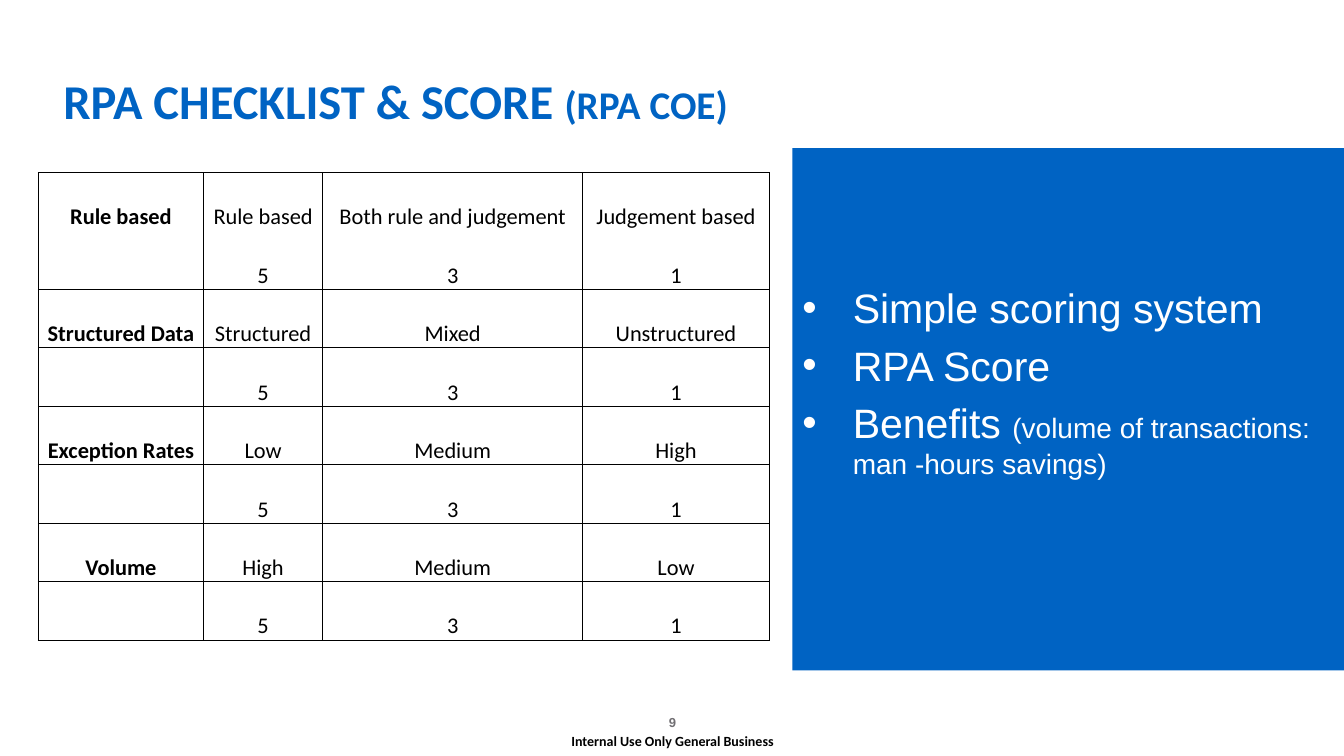
from lxml.etree import SubElement
from pptx import Presentation
from pptx.dml.color import RGBColor
from pptx.enum.shapes import MSO_SHAPE
from pptx.enum.text import MSO_ANCHOR, PP_ALIGN
from pptx.oxml.ns import qn
from pptx.util import Inches, Pt

COLORS = {"blue": "0063C3", "white": "FFFFFF", "black": "000000", "gray": "716F73"}
COLUMN_WIDTHS = [1.64, 1.18, 2.58, 1.85]
CRITERIA = [
    ["Rule based", "Rule based", "Both rule and judgement", "Judgement based"],
    ["Structured Data", "Structured", "Mixed", "Unstructured"],
    ["Exception Rates", "Low", "Medium", "High"],
    ["Volume", "High", "Medium", "Low"],
]
SCORES = ["", "5", "3", "1"]
BENEFITS = [
    [("Simple scoring system", 29.3)],
    [("RPA Score", 29.3)],
    [("Benefits ", 29.3), ("(volume of transactions: man -hours savings)", 20)],
]


def add_run(paragraph, text, size, color="black", font="Calibri", bold=False):
    run = paragraph.add_run()
    run.text = text
    run.font.size = Pt(size)
    run.font.name = font
    run.font.bold = bold
    run.font.color.rgb = RGBColor.from_string(COLORS[color])


def add_text(slide, box, runs, align=PP_ALIGN.LEFT, anchor=MSO_ANCHOR.BOTTOM,
             inset=(0, 0), **style):
    """Add one line of text; runs are (text, size) pairs."""
    shape = slide.shapes.add_textbox(*map(Inches, box))
    frame = shape.text_frame
    frame.word_wrap = True
    frame.vertical_anchor = anchor
    frame.margin_left = frame.margin_right = Inches(inset[0])
    frame.margin_top = frame.margin_bottom = Inches(inset[1])
    paragraph = frame.paragraphs[0]
    paragraph.alignment = align
    for text, size in runs:
        add_run(paragraph, text, size, **style)


def add_bullet(paragraph, indent):
    properties = paragraph._p.get_or_add_pPr()
    properties.set("marL", str(Inches(indent)))
    properties.set("indent", str(-Inches(indent)))
    SubElement(properties, qn("a:buFont"), typeface="Arial")
    SubElement(properties, qn("a:buChar"), char="•")


def add_benefits_panel(slide, box):
    panel = slide.shapes.add_shape(MSO_SHAPE.RECTANGLE, *map(Inches, box))
    panel.shadow.inherit = False
    panel.fill.solid()
    panel.fill.fore_color.rgb = RGBColor.from_string(COLORS["blue"])
    panel.line.fill.background()
    frame = panel.text_frame
    frame.word_wrap = True
    frame.vertical_anchor = MSO_ANCHOR.MIDDLE
    frame.margin_bottom = Inches(0.6)
    for index, runs in enumerate(BENEFITS):
        paragraph = frame.add_paragraph() if index else frame.paragraphs[0]
        paragraph.alignment = PP_ALIGN.LEFT
        paragraph.space_after = Pt(6)
        add_bullet(paragraph, 0.5)
        for text, size in runs:
            add_run(paragraph, text, size, color="white", font="Arial")


def set_borders(cell, sides):
    properties = cell._tc.get_or_add_tcPr()
    for side in sides:
        line = SubElement(properties, qn(f"a:ln{side}"), w=str(Pt(0.5)))
        fill = SubElement(line, qn("a:solidFill"))
        SubElement(fill, qn("a:srgbClr"), val=COLORS["black"])


def fill_cell(cell, text, bold, sides):
    set_borders(cell, sides)
    cell.fill.background()
    cell.vertical_anchor = MSO_ANCHOR.BOTTOM
    cell.margin_left = cell.margin_right = cell.margin_top = Inches(0.01)
    cell.margin_bottom = 0
    paragraph = cell.text_frame.paragraphs[0]
    paragraph.alignment = PP_ALIGN.CENTER
    if text:
        add_run(paragraph, text, 16, bold=bold)


def add_checklist(slide, box):
    """Give each criterion a row of answers above a row of scores."""
    rows = [row for answers in CRITERIA for row in (answers, SCORES)]
    frame = slide.shapes.add_table(len(rows), len(COLUMN_WIDTHS), *map(Inches, box))
    table = frame.table
    table.first_row = table.horz_banding = False
    style = table._tbl.tblPr.find(qn("a:tableStyleId"))
    style.text = "{2D5ABB26-0587-4C30-8999-92F81FD0307C}"  # no style, no grid
    for column, width in zip(table.columns, COLUMN_WIDTHS):
        column.width = Inches(width)
    for row_index, row in enumerate(rows):
        table.rows[row_index].height = Inches(box[3] / len(rows))
        sides = "LRB" if row_index % 2 else "LRT"
        for column_index, text in enumerate(row):
            fill_cell(table.cell(row_index, column_index), text,
                      bold=column_index == 0, sides=sides)


def add_footer(slide, box):
    left, top, width, height = box
    add_text(slide, (left, top, width, 0.4), [("9", 9.3)], align=PP_ALIGN.CENTER,
             color="gray", font="Arial", bold=True)
    add_text(slide, (left, top + 0.37, width, height - 0.37),
             [("Internal Use Only General Business", 10)], align=PP_ALIGN.CENTER,
             anchor=MSO_ANCHOR.MIDDLE, bold=True)


def main():
    presentation = Presentation()
    presentation.slide_width = Inches(13.33)
    presentation.slide_height = Inches(7.5)
    slide = presentation.slides.add_slide(presentation.slide_layouts[6])
    add_footer(slide, (5.51, 6.84, 2.32, 0.66))
    add_benefits_panel(slide, (7.86, 1.47, 5.47, 5.18))
    add_text(slide, (0.53, 0.65, 12.27, 0.68),
             [("RPA CHECKLIST & SCORE ", 34.7), ("(RPA COE)", 28)],
             inset=(0.1, 0.05), color="blue", bold=True)
    add_checklist(slide, (0.38, 1.71, 7.25, 4.64))
    presentation.save("out.pptx")


if __name__ == "__main__":
    main()
